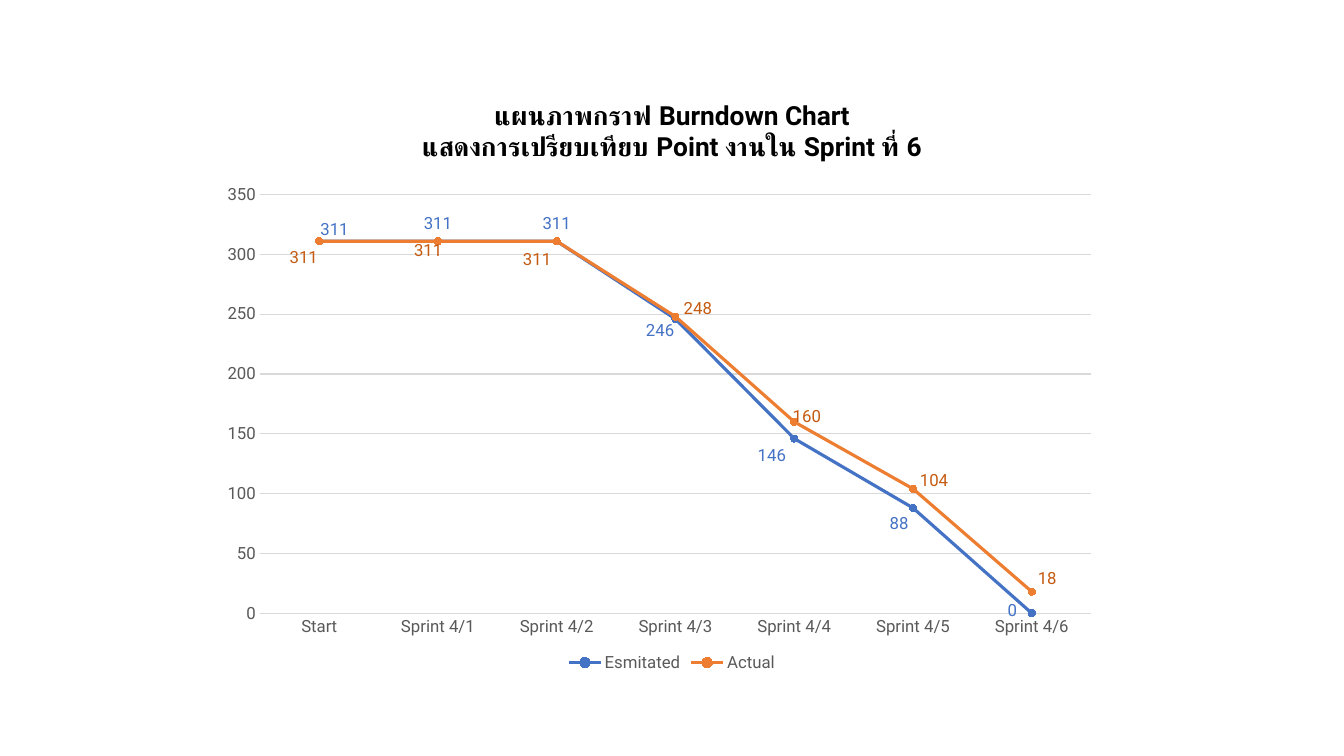
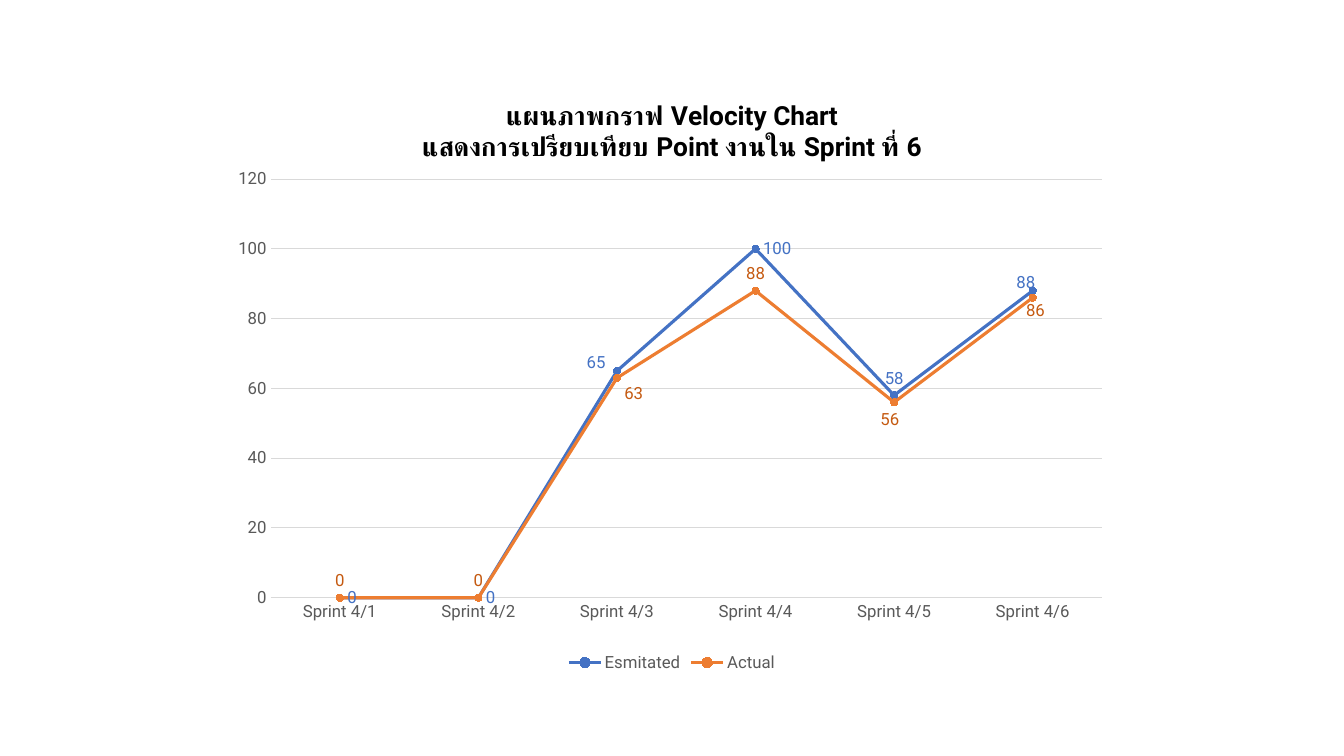
from dataclasses import dataclass

from lxml import etree
from pptx import Presentation
from pptx import util as u
from pptx.chart import data as cd
from pptx.dml import color
from pptx.enum import chart as ce
from pptx.oxml import ns

COLORS = {
    "estimate": "4472C4",
    "actual": "ED7D31",
    "actual_label": "C55A11",
    "title": "000000",
    "axis": "595959",
    "grid": "D9D9D9",
}
FONT = "Roboto"
SLIDE_W, SLIDE_H = 960, 540
CHART_W, CHART_H = 640, 426.67
PLOT_W, PLOT_H = 0.928, 0.701
SUBTITLE = "แสดงการเปรียบเทียบ Point งานใน Sprint ที่ 6"
SPRINTS = [f"Sprint 4/{n}" for n in range(1, 7)]
ABOVE = ce.XL_LABEL_POSITION.ABOVE
RIGHT = ce.XL_LABEL_POSITION.RIGHT


@dataclass
class Line:
    name: str
    values: list[int]
    color: str
    label_color: str
    label_pos: ce.XL_LABEL_POSITION
    nudges: dict[int, tuple[float, float]]


@dataclass
class LineChart:
    title: str
    categories: list[str]
    top_value: int
    step: int
    plot_x: float
    plot_y: float
    lines: list[Line]


def estimate(values: list[int], pos: ce.XL_LABEL_POSITION, nudges: dict) -> Line:
    return Line("Esmitated", values, "estimate", "estimate", pos, nudges)


def actual(values: list[int], nudges: dict) -> Line:
    return Line("Actual", values, "actual", "actual_label", ABOVE, nudges)


CHARTS = [
    LineChart(
        "แผนภาพกราฟ Burndown Chart", ["Start", *SPRINTS], 350, 50, 0.04, 0.193,
        [
            estimate([311, 311, 311, 246, 146, 88, 0], ABOVE,
                     {0: (11, 4), 3: (-11, 21), 4: (-16, 25), 5: (-10, 24), 6: (-14, 11)}),
            actual([311, 311, 311, 248, 160, 104, 18],
                   {0: (-11, 24), 1: (-7, 19), 2: (-14, 26), 3: (16, 7),
                    4: (9, 9), 5: (15, 7), 6: (11, 3)}),
        ],
    ),
    LineChart(
        "แผนภาพกราฟ Velocity Chart", SPRINTS, 120, 20, 0.052, 0.167,
        [
            estimate([0, 0, 65, 100, 58, 88], RIGHT,
                     {2: (-27, -6), 4: (-12, -12), 5: (-17, -6)}),
            actual([0, 0, 63, 88, 56, 86],
                   {2: (12, 24), 4: (-3, 25), 5: (2, 22)}),
        ],
    ),
]


def rgb(name: str) -> color.RGBColor:
    return color.RGBColor.from_string(COLORS[name])


def set_font(font, size: float, name: str, bold: bool = False) -> None:
    font.name = FONT
    font.size = u.Pt(size)
    font.bold = bold
    font.color.rgb = rgb(name)


def set_line(line, name: str, width: float) -> None:
    line.color.rgb = rgb(name)
    line.width = u.Pt(width)


def add_layout(parent, index: int, **settings) -> None:
    for old in parent.findall(ns.qn("c:layout")):
        parent.remove(old)
    layout = etree.Element(ns.qn("c:layout"))
    manual = etree.SubElement(layout, ns.qn("c:manualLayout"))
    for tag, value in settings.items():
        etree.SubElement(manual, ns.qn(f"c:{tag}")).set("val", str(value))
    parent.insert(index, layout)


def hide_leader_lines(labels_node) -> None:
    tag = ns.qn("c:showLeaderLines")
    for old in labels_node.findall(tag):
        labels_node.remove(old)
    etree.SubElement(labels_node, tag).set("val", "0")


def style_title(chart, title: str) -> None:
    tf = chart.chart_title.text_frame
    tf.text = f"{title}\n{SUBTITLE}"
    for p in tf.paragraphs:
        set_font(p.font, 18.8, "title", bold=True)


def style_axes(chart, item: LineChart) -> None:
    for axis in (chart.category_axis, chart.value_axis):
        axis.major_tick_mark = axis.minor_tick_mark = ce.XL_TICK_MARK.NONE
        set_font(axis.tick_labels.font, 12, "axis")
    set_line(chart.category_axis.format.line, "grid", 0.75)
    axis = chart.value_axis
    axis.minimum_scale, axis.maximum_scale = 0, item.top_value
    axis.major_unit = item.step
    axis.format.line.fill.background()
    axis.has_major_gridlines = True
    set_line(axis.major_gridlines.format.line, "grid", 0.75)


def style_series(series, line: Line) -> None:
    series.smooth = False
    set_line(series.format.line, line.color, 2.25)
    marker = series.marker
    marker.style = ce.XL_MARKER_STYLE.CIRCLE
    marker.size = 5
    marker.format.fill.solid()
    marker.format.fill.fore_color.rgb = rgb(line.color)
    set_line(marker.format.line, line.color, 0.75)
    labels = series.data_labels
    labels.show_value = True
    labels.position = line.label_pos
    set_font(labels.font, 12, line.label_color)
    for i in line.nudges:
        label = series.points[i].data_label
        set_font(label.font, 12, line.label_color)
        label.position = line.label_pos
    labels_node = series._element.find(ns.qn("c:dLbls"))
    hide_leader_lines(labels_node)
    label_nodes = labels_node.findall(ns.qn("c:dLbl"))
    for node, (dx, dy) in zip(label_nodes, line.nudges.values()):
        add_layout(node, 1, x=round(dx / CHART_W, 4), y=round(dy / CHART_H, 4))


def add_line_chart(s, item: LineChart) -> None:
    data = cd.CategoryChartData()
    data.categories = item.categories
    for line in item.lines:
        data.add_series(line.name, line.values)
    chart = s.shapes.add_chart(
        ce.XL_CHART_TYPE.LINE_MARKERS,
        u.Pt((SLIDE_W - CHART_W) / 2), u.Pt((SLIDE_H - CHART_H) / 2),
        u.Pt(CHART_W), u.Pt(CHART_H), data,
    ).chart
    set_font(chart.font, 10, "title")
    style_title(chart, item.title)
    style_axes(chart, item)
    chart.has_legend = True
    chart.legend.position = ce.XL_LEGEND_POSITION.BOTTOM
    chart.legend.include_in_layout = False
    set_font(chart.legend.font, 12, "axis")
    plot = chart.plots[0]
    plot.vary_by_categories = False
    for series, line in zip(plot.series, item.lines):
        style_series(series, line)
    plot_area = chart._chartSpace.find(f".//{ns.qn('c:plotArea')}")
    add_layout(plot_area, 0, layoutTarget="inner", xMode="edge", yMode="edge",
               x=item.plot_x, y=item.plot_y, w=PLOT_W, h=PLOT_H)


def main() -> None:
    prs = Presentation()
    prs.slide_width, prs.slide_height = u.Pt(SLIDE_W), u.Pt(SLIDE_H)
    for item in CHARTS:
        add_line_chart(prs.slides.add_slide(prs.slide_layouts[6]), item)
    prs.save("out.pptx")


if __name__ == "__main__":
    main()
